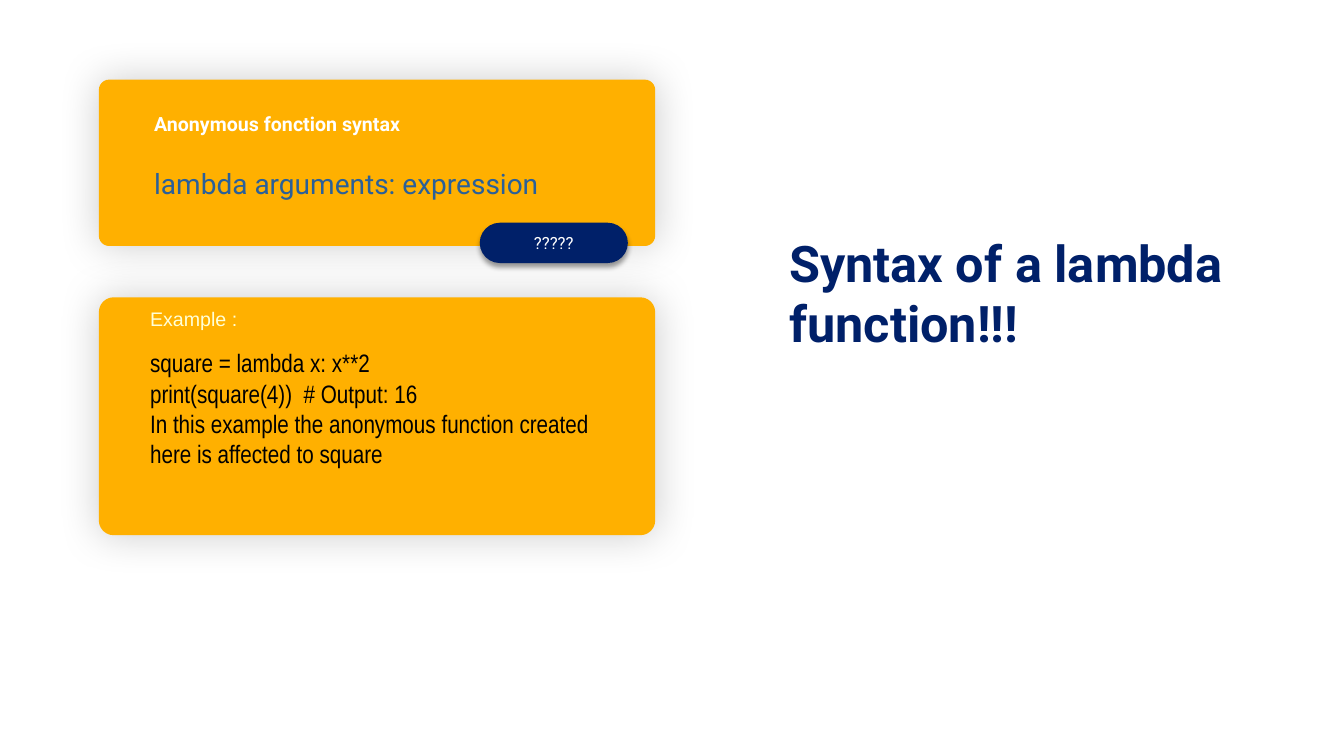
"""Build a slide on the syntax of a lambda function."""
from lxml import etree
from pptx import Presentation
from pptx.dml.color import RGBColor
from pptx.enum import shapes, text
from pptx.oxml import ns
from pptx.util import Pt

NAVY, AMBER, WHITE = "002069", "FFB000", "FFFFFF"
LEFT, WIDTH = 70.6, 397.4

TITLE = {"box": (556.6, 162, 380.2, 93.6), "lines": ["Syntax of a lambda function!!!"],
         "font": {"name": "Roboto", "size": 36, "bold": True, "color": NAVY}}
GLOW = {"color": "000000", "alpha": 20, "blur": 30, "dist": 0, "dir": 0}
DROP = {"color": "000000", "alpha": 40, "blur": 4, "dist": 3, "dir": 90}
PANELS = [
    {"box": (LEFT, 56.9, WIDTH, 118.8), "adj": 0.062, "fill": AMBER, "shadow": GLOW},
    {"box": (LEFT, 212.4, WIDTH, 169.9), "adj": 0.062, "fill": AMBER, "shadow": GLOW},
    {"box": (342.7, 159.1, 105.8, 28.8), "adj": 0.5, "fill": NAVY, "shadow": DROP,
     "lines": ["?????"], "font": {"name": "Roboto", "size": 12, "color": WHITE}},
]
TEXTS = [
    {"box": (103, 67.7, 252, 32.4), "lines": ["Anonymous fonction syntax"], "spacing": 1.5,
     "font": {"name": "Roboto", "size": 14, "bold": True, "color": WHITE}},
    {"box": (103, 103.7, 365.8, 61.2), "lines": ["lambda arguments: expression"], "spacing": 1.5,
     "font": {"name": "Roboto", "size": 20, "color": "2A6099"}},
    {"box": (100.1, 216, 198.7, 28.1), "lines": ["Example :"],
     "font": {"name": "Arial", "size": 14, "color": "FFFFD7"}},
    {"box": (100.1, 244.8, 339.8, 110.2),
     "lines": ["square = lambda x: x**2", "print(square(4))  # Output: 16",
               "In this example the anonymous function created here is affected to square"],
     "font": {"name": "Arial Narrow", "size": 18, "color": "000000"}},
]


def rgb(value):
    return RGBColor.from_string(value)


def points(box):
    return [Pt(v) for v in box]


def write(sp, item, align=text.PP_ALIGN.LEFT, anchor=text.MSO_ANCHOR.TOP):
    tf = sp.text_frame
    frame = {"word_wrap": True, "auto_size": text.MSO_AUTO_SIZE.NONE, "vertical_anchor": anchor,
             "margin_left": Pt(7.2), "margin_right": Pt(7.2),
             "margin_top": Pt(3.6), "margin_bottom": Pt(3.6)}
    for name, value in frame.items():
        setattr(tf, name, value)
    for i, line in enumerate(item["lines"]):
        p = tf.add_paragraph() if i else tf.paragraphs[0]
        p.alignment = align
        p.line_spacing = item.get("spacing", 1.0)
        r = p.add_run()
        r.text = line
        for name, value in item["font"].items():
            if name == "color":
                r.font.color.rgb = rgb(value)
            else:
                setattr(r.font, name, Pt(value) if name == "size" else value)


def add_shadow(sp, color, alpha, blur, dist, dir):
    sp.shadow.inherit = False
    effects = sp._element.spPr.find(ns.qn("a:effectLst"))
    outer = etree.SubElement(effects, ns.qn("a:outerShdw"), blurRad=str(Pt(blur)),
                             dist=str(Pt(dist)), dir=str(dir * 60000), algn="ctr", rotWithShape="0")
    clr = etree.SubElement(outer, ns.qn("a:srgbClr"), val=color)
    etree.SubElement(clr, ns.qn("a:alpha"), val=str(alpha * 1000))


def add_panel(s, item):
    sp = s.shapes.add_shape(shapes.MSO_SHAPE.ROUNDED_RECTANGLE, *points(item["box"]))
    sp.adjustments[0] = item["adj"]
    sp.fill.solid()
    sp.fill.fore_color.rgb = rgb(item["fill"])
    sp.line.fill.background()
    add_shadow(sp, **item["shadow"])
    if "lines" in item:
        write(sp, item, text.PP_ALIGN.CENTER, text.MSO_ANCHOR.MIDDLE)


def main():
    prs = Presentation()
    prs.slide_width, prs.slide_height = Pt(960), Pt(540)
    s = prs.slides.add_slide(prs.slide_layouts[5])
    title = s.shapes.title
    title.left, title.top, title.width, title.height = points(TITLE["box"])
    write(title, TITLE)
    for item in PANELS:
        add_panel(s, item)
    for item in TEXTS:
        write(s.shapes.add_textbox(*points(item["box"])), item)
    prs.save("out.pptx")


if __name__ == "__main__":
    main()
